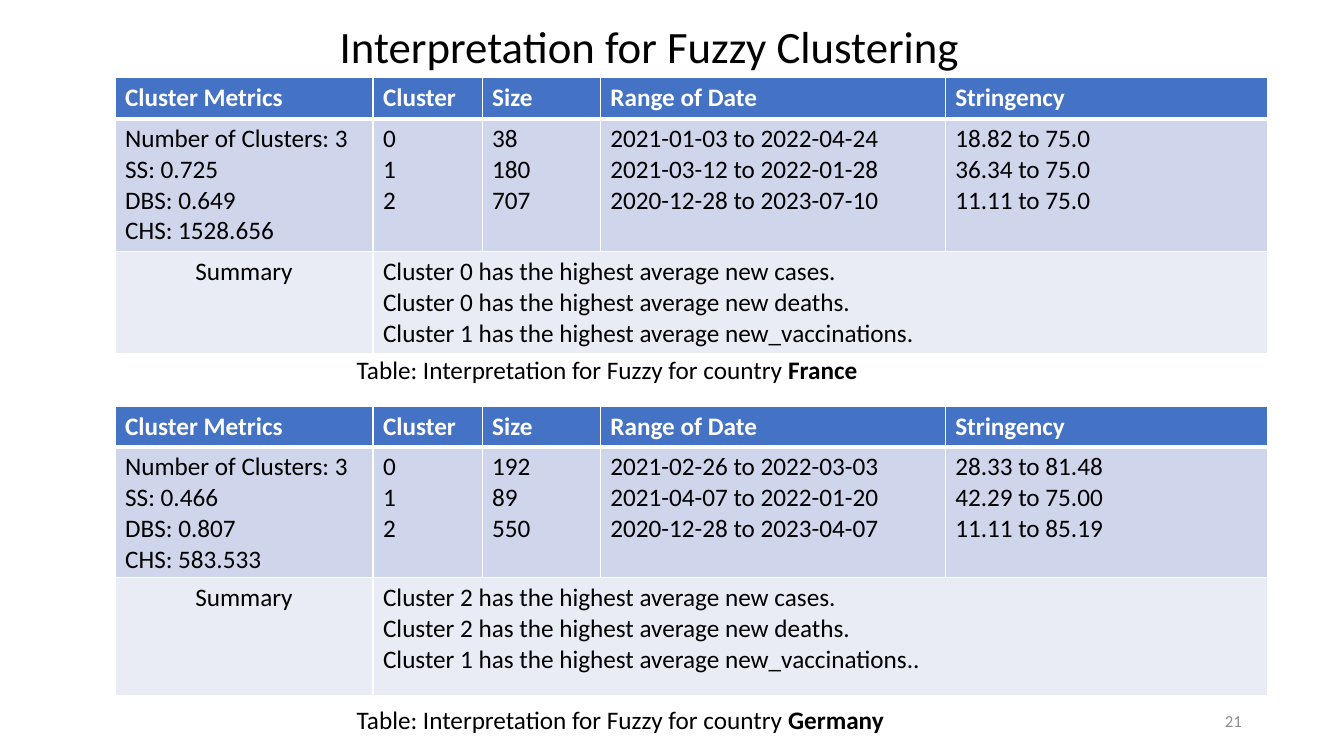
"""Build the slide interpreting fuzzy clustering for two countries."""
from lxml import etree
from pptx import Presentation
from pptx import util as u
from pptx.dml.color import RGBColor
from pptx.enum import text
from pptx.oxml.ns import qn

TITLE = "Interpretation for Fuzzy Clustering"
PAGE_NUMBER = "21"
CAPTION = "Table: Interpretation for Fuzzy for country "
HEADINGS = ["Cluster Metrics", "Cluster", "Size", "Range of Date", "Stringency"]
COUNTRIES = [
    {
        "name": "France", "top": 1.96, "caption_top": 8.81, "caption_width": 13.26,
        "row_heights": [1.03, 3.35, 2.58],
        "values": [
            ["Number of Clusters: 3", "SS: 0.725", "DBS: 0.649", "CHS: 1528.656"],
            ["0", "1", "2"],
            ["38", "180", "707"],
            ["2021-01-03 to 2022-04-24", "2021-03-12 to 2022-01-28",
             "2020-12-28 to 2023-07-10"],
            ["18.82 to 75.0", "36.34 to 75.0", "11.11 to 75.0"],
        ],
        "summary": [
            "Cluster 0 has the highest average new cases.",
            "Cluster 0 has the highest average new deaths.",
            "Cluster 1 has the highest average new_vaccinations.",
        ],
    },
    {
        "name": "Germany", "top": 10.24, "caption_top": 17.63, "caption_width": 13.94,
        "row_heights": [1.0, 3.3, 2.97],
        "values": [
            ["Number of Clusters: 3", "SS: 0.466", "DBS: 0.807", "CHS: 583.533"],
            ["0", "1", "2"],
            ["192", "89", "550"],
            ["2021-02-26 to 2022-03-03", "2021-04-07 to 2022-01-20",
             "2020-12-28 to 2023-04-07"],
            ["28.33 to 81.48", "42.29 to 75.00", "11.11 to 85.19"],
        ],
        "summary": [
            "Cluster 2 has the highest average new cases.",
            "Cluster 2 has the highest average new deaths.",
            "Cluster 1 has the highest average new_vaccinations..",
        ],
    },
]
COLUMN_WIDTHS = [6.5, 2.75, 2.98, 8.69, 8.13]
TABLE_LEFT = 2.9
CAPTION_LEFT = 8.74
ROW_FILLS = ["4472C4", "CFD5EA", "E9EBF5"]
THIN, THICK = 1, 3


def color(value):
    return RGBColor.from_string(value)


def style(paragraph, size=18, ink="000000", bold=None, align=None):
    paragraph.font.name = "Calibri"
    paragraph.font.size = u.Pt(size)
    paragraph.font.color.rgb = color(ink)
    paragraph.font.bold = bold
    paragraph.alignment = align


def add_text(slide, box, words, anchor=text.MSO_ANCHOR.TOP, wrap=True, **look):
    frame = slide.shapes.add_textbox(*map(u.Cm, box)).text_frame
    frame.word_wrap = wrap
    frame.vertical_anchor = anchor
    paragraph = frame.paragraphs[0]
    paragraph.add_run().text = words
    style(paragraph, **look)
    return paragraph


def add_border(cell, side, points):
    line = etree.SubElement(cell._tc.get_or_add_tcPr(), qn(f"a:ln{side}"),
                            w=str(u.Pt(points)))
    fill = etree.SubElement(line, qn("a:solidFill"))
    etree.SubElement(fill, qn("a:srgbClr"), val="FFFFFF")


def fill_cell(cell, row, lines, align):
    borders = {"L": THIN, "R": THIN,
               "T": THICK if row == 1 else THIN,
               "B": THICK if row == 0 else THIN}
    for side, points in borders.items():
        add_border(cell, side, points)
    cell.fill.solid()
    cell.fill.fore_color.rgb = color(ROW_FILLS[row])
    cell.text = "\n".join(lines)
    for paragraph in cell.text_frame.paragraphs:
        style(paragraph, ink="FFFFFF" if row == 0 else "000000",
              bold=row == 0, align=align)


def add_country(slide, country):
    heights = country["row_heights"]
    box = (TABLE_LEFT, country["top"], sum(COLUMN_WIDTHS), sum(heights))
    table = slide.shapes.add_table(len(heights), len(COLUMN_WIDTHS),
                                   *map(u.Cm, box)).table
    table.horz_banding = False
    for column, width in zip(table.columns, COLUMN_WIDTHS):
        column.width = u.Cm(width)
    for table_row, height in zip(table.rows, heights):
        table_row.height = u.Cm(height)

    rows = [[[heading] for heading in HEADINGS], country["values"],
            [["Summary"], country["summary"], [], [], []]]
    for row, entries in enumerate(rows):
        for column, lines in enumerate(entries):
            align = text.PP_ALIGN.CENTER if lines == ["Summary"] else None
            fill_cell(table.cell(row, column), row, lines, align)
    table.cell(2, 1).merge(table.cell(2, len(HEADINGS) - 1))

    caption_box = (CAPTION_LEFT, country["caption_top"], country["caption_width"], 1.02)
    caption = add_text(slide, caption_box, CAPTION, wrap=False)
    name = caption.add_run()
    name.text = country["name"]
    name.font.bold = True


def main():
    deck = Presentation()
    deck.slide_width, deck.slide_height = u.Cm(33.87), u.Cm(19.05)
    slide = deck.slides.add_slide(deck.slide_layouts[6])
    title = add_text(slide, (0.38, 0, 31.98, 1.96), TITLE, text.MSO_ANCHOR.BOTTOM,
                     size=32, align=text.PP_ALIGN.CENTER)
    title.line_spacing = 0.9
    for country in COUNTRIES:
        add_country(slide, country)
    add_text(slide, (23.93, 17.65, 7.62, 1.02), PAGE_NUMBER, text.MSO_ANCHOR.MIDDLE,
             size=12, ink="8C8C8C", align=text.PP_ALIGN.RIGHT)
    deck.save("out.pptx")


if __name__ == "__main__":
    main()
